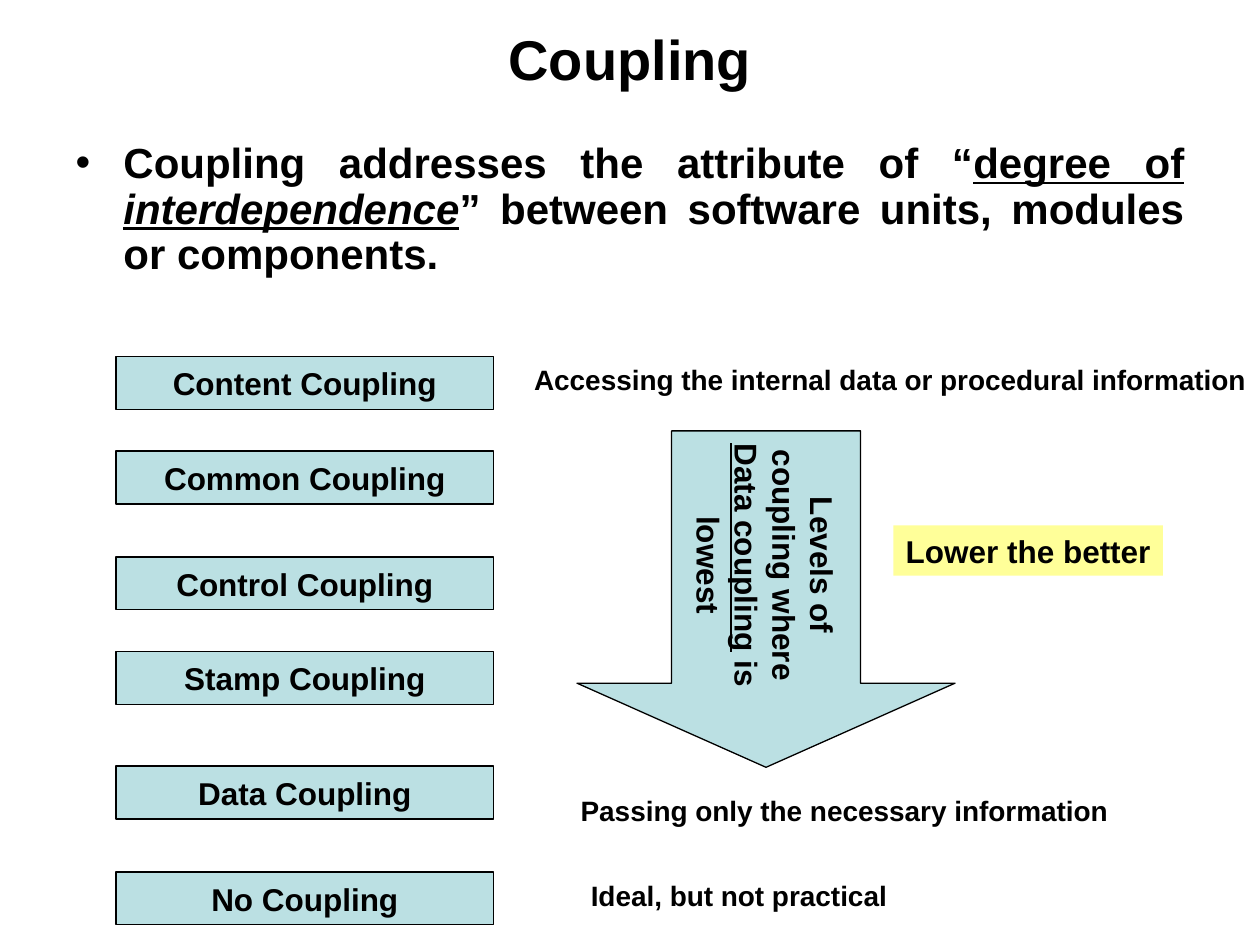
from pptx import Presentation
from pptx.dml.color import RGBColor
from pptx.enum.shapes import MSO_SHAPE as SHAPE
from pptx.enum.text import MSO_ANCHOR as ANCHOR, MSO_AUTO_SIZE as AUTO, PP_ALIGN as ALIGN
from pptx.util import Inches, Pt

COLORS = {"text": "000000", "box": "BBE0E3", "note": "FFFF99"}

TITLE = "Coupling"
# Each run is (text, style): "u" underlined, "i" italic
DEFINITION = [
    ("Coupling addresses the attribute of “", ""),
    ("degree of", "u"),
    (" ", ""),
    ("interdependence", "ui"),
    ("” between software units, modules or components.", ""),
]
LEVELS = [
    ("Content Coupling", 2.83),
    ("Common Coupling", 3.58),
    ("Control Coupling", 4.42),
    ("Stamp Coupling", 5.17),
    ("Data Coupling", 6.08),
    ("No Coupling", 6.92),
]
REMARKS = [
    ("Accessing the internal data or procedural information", (4.14, 2.83, 5.85, 0.37)),
    ("Passing only the necessary information", (4.51, 6.25, 4.39, 0.37)),
    ("Ideal, but not practical", (4.59, 6.92, 2.55, 0.37)),
]
ARROW_LINES = [
    [("Levels of", "")],
    [("coupling where", "")],
    [("Data coupling", "u"), (" is", "")],
    [("lowest", "")],
]
ADVICE = "Lower the better"


def rgb(name):
    return RGBColor.from_string(COLORS[name])


def place(sp, box):
    sp.left, sp.top, sp.width, sp.height = map(Inches, box)


def write(tf, lines, size, align, anchor=ANCHOR.TOP, wrap=False):
    """Fill a text frame with lines, each a list of (text, style) runs."""
    tf.word_wrap = wrap
    tf.auto_size = AUTO.NONE
    tf.vertical_anchor = anchor
    for i, runs in enumerate(lines):
        p = tf.add_paragraph() if i else tf.paragraphs[0]
        p.alignment = align
        p.font.name = "Arial"
        p.font.size = Pt(size)
        p.font.bold = True
        p.font.color.rgb = rgb("text")
        for text, style in runs:
            r = p.add_run()
            r.text = text
            if "u" in style:
                r.font.underline = True
            if "i" in style:
                r.font.italic = True


def add_shape(slide, kind, box, fill, outlined=True):
    sp = slide.shapes.add_shape(kind, *map(Inches, box))
    sp.shadow.inherit = False
    sp.fill.solid()
    sp.fill.fore_color.rgb = rgb(fill)
    if outlined:
        sp.line.color.rgb = rgb("text")
        sp.line.width = Pt(0.75)
    else:
        sp.line.fill.background()
    return sp


def main():
    prs = Presentation()
    prs.slide_width, prs.slide_height = Inches(10), Inches(7.5)
    slide = prs.slides.add_slide(prs.slide_layouts[1])

    title, body = slide.placeholders
    place(title, (0.5, 0, 9, 0.92))
    write(title.text_frame, [[(TITLE, "")]], 32, ALIGN.CENTER, ANCHOR.MIDDLE, wrap=True)

    place(body, (0.5, 1.08, 9, 1.25))
    write(body.text_frame, [DEFINITION], 24, ALIGN.JUSTIFY, wrap=True)
    p = body.text_frame.paragraphs[0]
    p.line_spacing = 0.9
    p.space_before = Pt(0)
    pPr = p._p.get_or_add_pPr()
    pPr.set("marL", str(Inches(0.38)))
    pPr.set("indent", str(-Inches(0.38)))

    for name, top in LEVELS:
        sp = add_shape(slide, SHAPE.RECTANGLE, (0.92, top, 3, 0.42), "box")
        write(sp.text_frame, [[(name, "")]], 18, ALIGN.CENTER, ANCHOR.MIDDLE)

    for text, box in REMARKS:
        sp = slide.shapes.add_textbox(*map(Inches, box))
        write(sp.text_frame, [[(text, "")]], 16, ALIGN.LEFT)

    arrow = add_shape(slide, SHAPE.DOWN_ARROW, (4.58, 3.42, 3, 2.67), "box")
    arrow.adjustments[1] = 0.25
    tf = arrow.text_frame
    tf.margin_left = tf.margin_right = Inches(0.05)
    tf.margin_top = tf.margin_bottom = Inches(0.1)
    write(tf, ARROW_LINES, 18, ALIGN.CENTER, ANCHOR.MIDDLE)
    arrow.element.txBody.bodyPr.set("vert", "eaVert")

    note = add_shape(slide, SHAPE.RECTANGLE, (7.09, 4.17, 2.14, 0.4), "note", outlined=False)
    write(note.text_frame, [[(ADVICE, "")]], 18, ALIGN.LEFT)

    prs.save("out.pptx")


if __name__ == "__main__":
    main()
